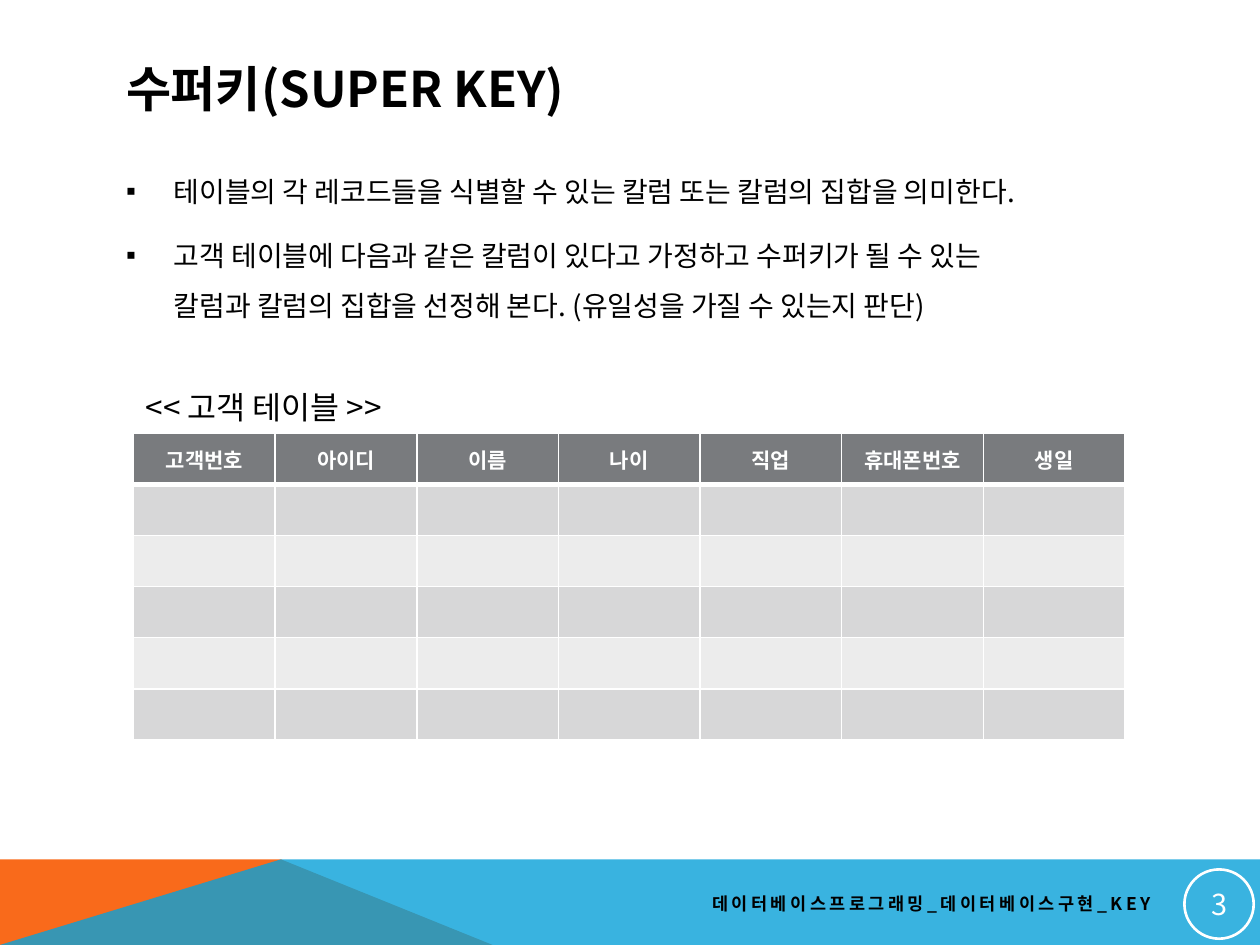
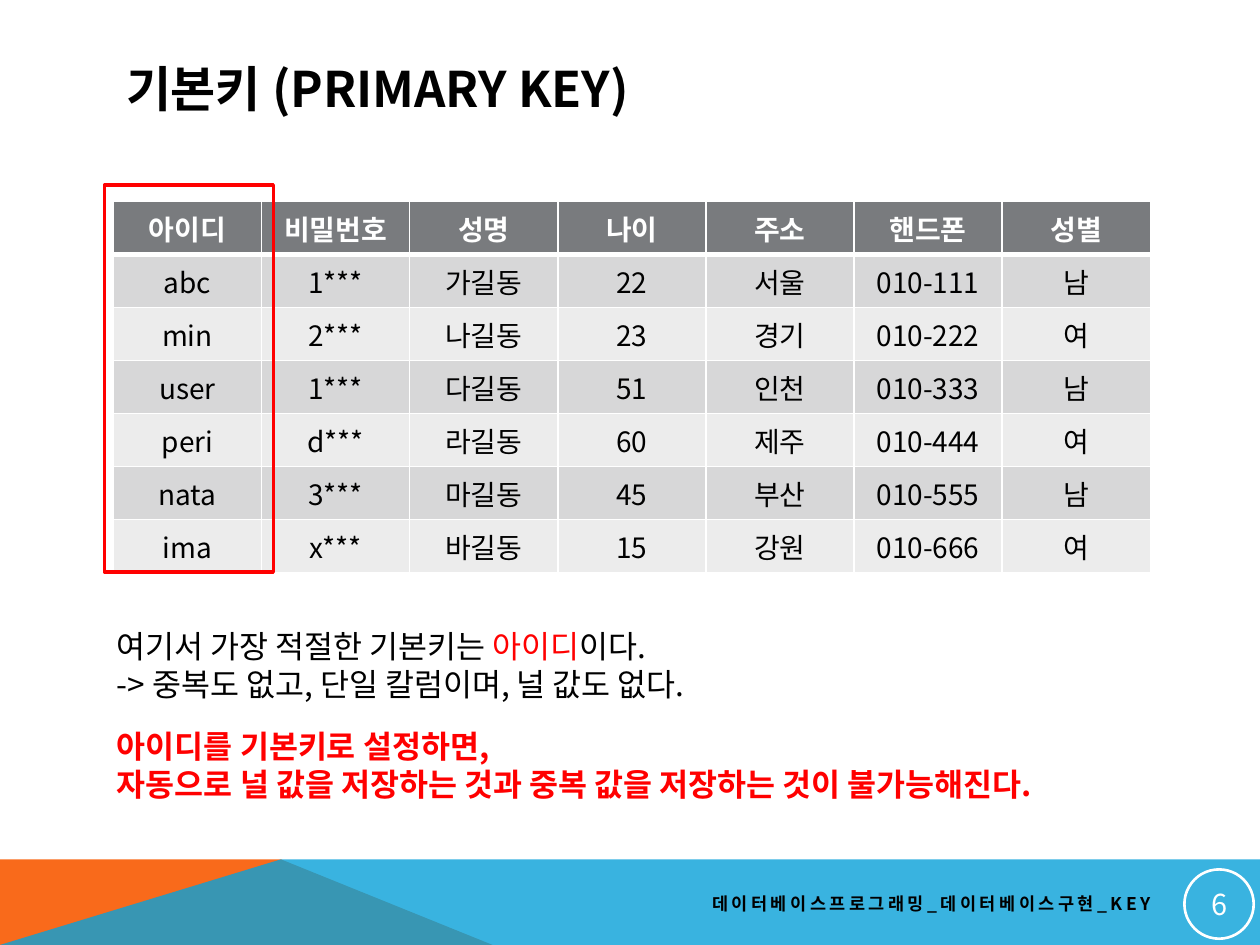
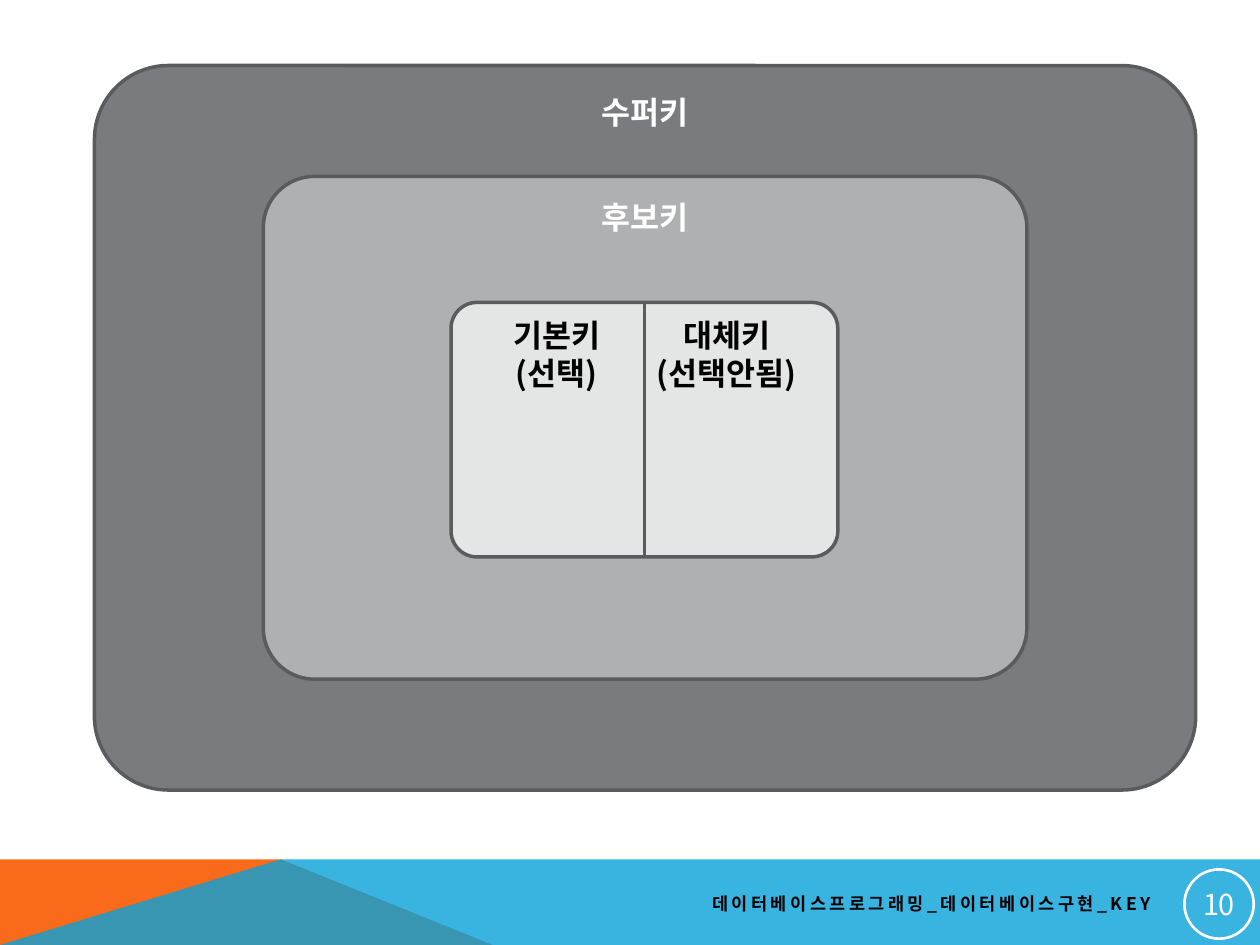
from dataclasses import dataclass
from typing import Any, NamedTuple, Optional, Sequence

from lxml.etree import SubElement
from pptx import Presentation
from pptx.dml.color import RGBColor
from pptx.enum.shapes import MSO_CONNECTOR, MSO_SHAPE
from pptx.enum.text import MSO_ANCHOR, MSO_AUTO_SIZE, PP_ALIGN
from pptx.oxml.ns import qn
from pptx.util import Emu, Inches, Pt

FONT = "Noto Sans CJK KR"
COLORS = {
    "black": "000000", "white": "FFFFFF", "red": "FF0000",
    "orange": "F96A1B", "blue": "08A1D9",
    "header": "797B7E", "odd_row": "D7D7D8", "even_row": "ECECEC",
    "candidate": "AFB0B2", "chosen": "E4E5E5", "outline": "5A5B5D",
}
FOOTER = "데이터베이스프로그래밍_데이터베이스구현_KEY"
BAND_TOP, BAND_PEAK, BAND_FOOT = 6.82, 2.23, 3.91
SLIDE_W, SLIDE_H = 10, 7.5


class Box(NamedTuple):
    """Left, top, width and height in inches."""
    left: float
    top: float
    width: float
    height: float

    def emu(self) -> list[Emu]:
        """Return the four lengths for python-pptx."""
        return [Inches(length) for length in self]


@dataclass(frozen=True)
class Style:
    """Look of one run of text."""
    size: float
    color: str = "black"
    bold: bool = False
    spacing: float = 0


@dataclass(frozen=True)
class Ring:
    """One rounded box of the nested key diagram."""
    box: Box
    fill: str
    label: str = ""


def rgb(name: str) -> RGBColor:
    """Look up a named colour."""
    return RGBColor.from_string(COLORS[name])


def add_run(paragraph: Any, text: str, style: Style) -> None:
    """Append one formatted run."""
    run = paragraph.add_run()
    run.text = text
    run.font.size = Pt(style.size)
    run.font.bold = style.bold
    run.font.color.rgb = rgb(style.color)
    run.font.name = FONT
    properties = run.font._element
    east_asian = SubElement(properties, qn("a:ea"), typeface=FONT)
    properties.find(qn("a:latin")).addnext(east_asian)
    if style.spacing:
        properties.set("spc", str(round(style.spacing * 100)))


def paint(shape: Any, fill: Optional[str], line: Optional[str] = None, width: float = 0) -> None:
    """Set fill and line of a shape and drop its shadow."""
    shape.shadow.inherit = False
    if fill:
        shape.fill.solid()
        shape.fill.fore_color.rgb = rgb(fill)
    else:
        shape.fill.background()
    if line:
        shape.line.color.rgb = rgb(line)
        shape.line.width = Pt(width)
    else:
        shape.line.fill.background()


def add_master_bands(master: Any, slide: Any) -> None:
    """Draw the bottom bands and move them to the slide master."""
    bands = [
        ("orange", 100, [(0, SLIDE_H), (0, BAND_TOP), (BAND_PEAK, BAND_TOP), (BAND_FOOT, SLIDE_H)]),
        ("blue", 80, [(0, SLIDE_H), (BAND_PEAK, BAND_TOP), (SLIDE_W, BAND_TOP), (SLIDE_W, SLIDE_H)]),
    ]
    for order, (color, opacity, corners) in enumerate(bands):
        points = [(Inches(x), Inches(y)) for x, y in corners]
        builder = slide.shapes.build_freeform(*points[0])
        builder.add_line_segments(points[1:], close=True)
        band = builder.convert_to_shape()
        paint(band, color)
        if opacity < 100:
            tint = band.element.spPr.find(qn("a:solidFill"))[0]
            SubElement(tint, qn("a:alpha"), val=str(opacity * 1000))
        band.element.nvSpPr.cNvPr.set("id", str(100 + order))
        master.element.cSld.spTree.insert(2 + order, band.element)


def add_text(slide: Any, box: Box, paragraphs: Sequence[Sequence[tuple[str, Style]]],
             wrap: bool = False) -> Any:
    """Add a text box made of paragraphs of runs and return its frame."""
    frame = slide.shapes.add_textbox(*box.emu()).text_frame
    frame.word_wrap = wrap
    frame.auto_size = MSO_AUTO_SIZE.NONE if wrap else MSO_AUTO_SIZE.SHAPE_TO_FIT_TEXT
    for index, runs in enumerate(paragraphs):
        paragraph = frame.add_paragraph() if index else frame.paragraphs[0]
        for text, style in runs:
            add_run(paragraph, text, style)
    return frame


def add_footer(slide: Any, number: int) -> None:
    """Add the course name and the circled page number."""
    course = add_text(slide, Box(4.06, 7.02, 5.17, 0.3),
                      [[(FOOTER, Style(10, bold=True, spacing=2))]], wrap=True)
    course.vertical_anchor = MSO_ANCHOR.MIDDLE
    course.paragraphs[0].alignment = PP_ALIGN.RIGHT
    badge = slide.shapes.add_shape(MSO_SHAPE.OVAL, *Box(9.4, 6.9, 0.55, 0.55).emu())
    paint(badge, None, "white", 1.5)
    frame = badge.text_frame
    frame.margin_left = frame.margin_right = frame.margin_top = frame.margin_bottom = Inches(0.01)
    frame.vertical_anchor = MSO_ANCHOR.MIDDLE
    frame.paragraphs[0].alignment = PP_ALIGN.CENTER
    add_run(frame.paragraphs[0], str(number), Style(16.5, "white"))


def place(placeholder: Any, box: Box, anchor: MSO_ANCHOR) -> Any:
    """Move a placeholder and return its text frame."""
    placeholder.left, placeholder.top, placeholder.width, placeholder.height = box.emu()
    frame = placeholder.text_frame
    frame.word_wrap = True
    frame.auto_size = MSO_AUTO_SIZE.NONE
    frame.vertical_anchor = anchor
    return frame


def set_title(slide: Any, text: str) -> None:
    """Fill the title placeholder."""
    frame = place(slide.shapes.title, Box(0.9, 0.4, 8.22, 0.6), MSO_ANCHOR.MIDDLE)
    frame.paragraphs[0].alignment = PP_ALIGN.LEFT
    add_run(frame.paragraphs[0], text, Style(28, bold=True))


def set_bullets(slide: Any, box: Box, items: Sequence[Sequence[str]]) -> None:
    """Fill the body placeholder with bullets, each a list of lines."""
    frame = place(slide.placeholders[1], box, MSO_ANCHOR.TOP)
    for index, lines in enumerate(items):
        paragraph = frame.add_paragraph() if index else frame.paragraphs[0]
        paragraph.line_spacing = 1.5
        paragraph.space_before = Pt(8)
        properties = paragraph._p.get_or_add_pPr()
        properties.set("marL", str(Inches(0.38)))
        properties.set("indent", str(Inches(-0.38)))
        SubElement(properties, qn("a:buChar"), char="▪")
        for order, line in enumerate(lines):
            if order:
                paragraph.add_line_break()
            add_run(paragraph, line, Style(16))


def set_borders(cell: Any, top: float, bottom: float) -> None:
    """Give a cell white borders, with own widths above and below."""
    properties = cell._tc.get_or_add_tcPr()
    for side, width in (("L", 1), ("R", 1), ("T", top), ("B", bottom)):
        border = SubElement(properties, qn(f"a:ln{side}"), w=str(Pt(width)))
        fill = SubElement(border, qn("a:solidFill"))
        SubElement(fill, qn("a:srgbClr"), val=COLORS["white"])


def add_grid(slide: Any, box: Box, rows: Sequence[Sequence[str]], size: float,
             anchor: MSO_ANCHOR) -> None:
    """Add a banded table with a dark header row."""
    table = slide.shapes.add_table(len(rows), len(rows[0]), *box.emu()).table
    for column in table.columns:
        column.width = Inches(box.width / len(rows[0]))
    for index, texts in enumerate(rows):
        table.rows[index].height = Inches(box.height / len(rows))
        header = index == 0
        fill = "header" if header else "odd_row" if index % 2 else "even_row"
        style = Style(size, "white" if header else "black", header)
        for column, text in enumerate(texts):
            cell = table.cell(index, column)
            set_borders(cell, 3 if index == 1 else 1, 3 if header else 1)
            cell.fill.solid()
            cell.fill.fore_color.rgb = rgb(fill)
            cell.vertical_anchor = anchor
            if text:
                cell.text_frame.paragraphs[0].alignment = PP_ALIGN.CENTER
                add_run(cell.text_frame.paragraphs[0], text, style)


def add_ring(slide: Any, ring: Ring) -> Any:
    """Add one rounded box with its label at the top."""
    shape = slide.shapes.add_shape(MSO_SHAPE.ROUNDED_RECTANGLE, *ring.box.emu())
    shape.adjustments[0] = 0.102
    paint(shape, ring.fill, "outline", 2)
    shape.text_frame.vertical_anchor = MSO_ANCHOR.TOP
    if ring.label:
        shape.text_frame.paragraphs[0].alignment = PP_ALIGN.CENTER
        add_run(shape.text_frame.paragraphs[0], ring.label, Style(18, "white", True))
    return shape


def add_pairs(frame: Any, pairs: Sequence[tuple[str, str]], stops: Sequence[float]) -> None:
    """Write two centred columns of text with centre tabs."""
    for index, pair in enumerate(pairs):
        paragraph = frame.add_paragraph() if index else frame.paragraphs[0]
        paragraph.alignment = PP_ALIGN.LEFT
        tabs = SubElement(paragraph._p.get_or_add_pPr(), qn("a:tabLst"))
        for stop in stops:
            SubElement(tabs, qn("a:tab"), pos=str(Inches(stop)), algn="ctr")
        for text in pair:
            add_run(paragraph, "\t" + text, Style(18, bold=True))


def build_super_key(slide: Any) -> None:
    """Explain the super key with an empty customer table."""
    set_title(slide, "수퍼키(SUPER KEY)")
    set_bullets(slide, Box(0.9, 1.2, 8.27, 1.44), [
        ["테이블의 각 레코드들을 식별할 수 있는 칼럼 또는 칼럼의 집합을 의미한다."],
        ["고객 테이블에 다음과 같은 칼럼이 있다고 가정하고 수퍼키가 될 수 있는 ",
         "칼럼과 칼럼의 집합을 선정해 본다. (유일성을 가질 수 있는지 판단)"],
    ])
    add_footer(slide, 3)
    columns = ["고객번호", "아이디", "이름", "나이", "직업", "휴대폰번호", "생일"]
    add_grid(slide, Box(1.06, 3.44, 7.87, 2.43), [columns] + [[""] * len(columns)] * 5,
             12, MSO_ANCHOR.MIDDLE)
    caption = add_text(slide, Box(1.06, 2.88, 2.44, 0.56), [[("<< 고객 테이블 >>", Style(18))]])
    caption.paragraphs[0].line_spacing = 1.5


def build_primary_key(slide: Any) -> None:
    """Show a member table with its primary key marked."""
    set_title(slide, "기본키 (PRIMARY KEY)")
    add_grid(slide, Box(0.9, 1.6, 8.23, 2.84), [
        ["아이디", "비밀번호", "성명", "나이", "주소", "핸드폰", "성별"],
        ["abc", "1***", "가길동", "22", "서울", "010-111", "남"],
        ["min", "2***", "나길동", "23", "경기", "010-222", "여"],
        ["user", "1***", "다길동", "51", "인천", "010-333", "남"],
        ["peri", "d***", "라길동", "60", "제주", "010-444", "여"],
        ["nata", "3***", "마길동", "45", "부산", "010-555", "남"],
        ["ima", "x***", "바길동", "15", "강원", "010-666", "여"],
    ], 16, MSO_ANCHOR.TOP)
    add_footer(slide, 6)
    key_frame = slide.shapes.add_shape(MSO_SHAPE.RECTANGLE, *Box(0.83, 1.47, 1.34, 3.07).emu())
    paint(key_frame, None, "red", 2)
    plain, marked, strong = Style(18), Style(18, "red"), Style(18, "red", True)
    add_text(slide, Box(0.83, 4.93, 5.39, 0.71), [
        [("여기서 가장 적절한 기본키는 ", plain), ("아이디", marked), ("이다.", plain)],
        [("-> 중복도 없고, 단일 칼럼이며, 널 값도 없다.", plain)],
    ])
    add_text(slide, Box(0.83, 5.72, 8.39, 0.71), [
        [("아이디를 기본키로 설정하면,", strong)],
        [("자동으로 널 값을 저장하는 것과 중복 값을 저장하는 것이 불가능해진다.", strong)],
    ])


def build_key_diagram(slide: Any) -> None:
    """Nest the kinds of keys inside each other."""
    add_footer(slide, 10)
    add_ring(slide, Ring(Box(0.75, 0.52, 8.74, 5.75), "header", "수퍼키"))
    add_ring(slide, Ring(Box(2.09, 1.4, 6.06, 3.99), "candidate", "후보키"))
    core = Box(3.58, 2.4, 3.07, 2.02)
    chosen = add_ring(slide, Ring(core, "chosen"))
    add_pairs(chosen.text_frame, [("기본키", "대체키"), ("(선택)", "(선택안됨)")], (0.68, 2.03))
    middle = Inches(core.left + core.width / 2)
    divider = slide.shapes.add_connector(MSO_CONNECTOR.STRAIGHT, middle, Inches(core.top),
                                         middle, Inches(core.top + core.height))
    divider.line.color.rgb = rgb("outline")
    divider.line.width = Pt(2)
    SubElement(divider.element.spPr, qn("a:effectLst"))


def main() -> None:
    """Build the three slides and save them."""
    deck = Presentation()
    deck.slide_width, deck.slide_height = Inches(SLIDE_W), Inches(SLIDE_H)
    content, title_only, blank = (deck.slide_layouts[index] for index in (1, 5, 6))
    super_key = deck.slides.add_slide(content)
    add_master_bands(deck.slide_master, super_key)
    build_super_key(super_key)
    build_primary_key(deck.slides.add_slide(title_only))
    build_key_diagram(deck.slides.add_slide(blank))
    deck.save("out.pptx")


main()
